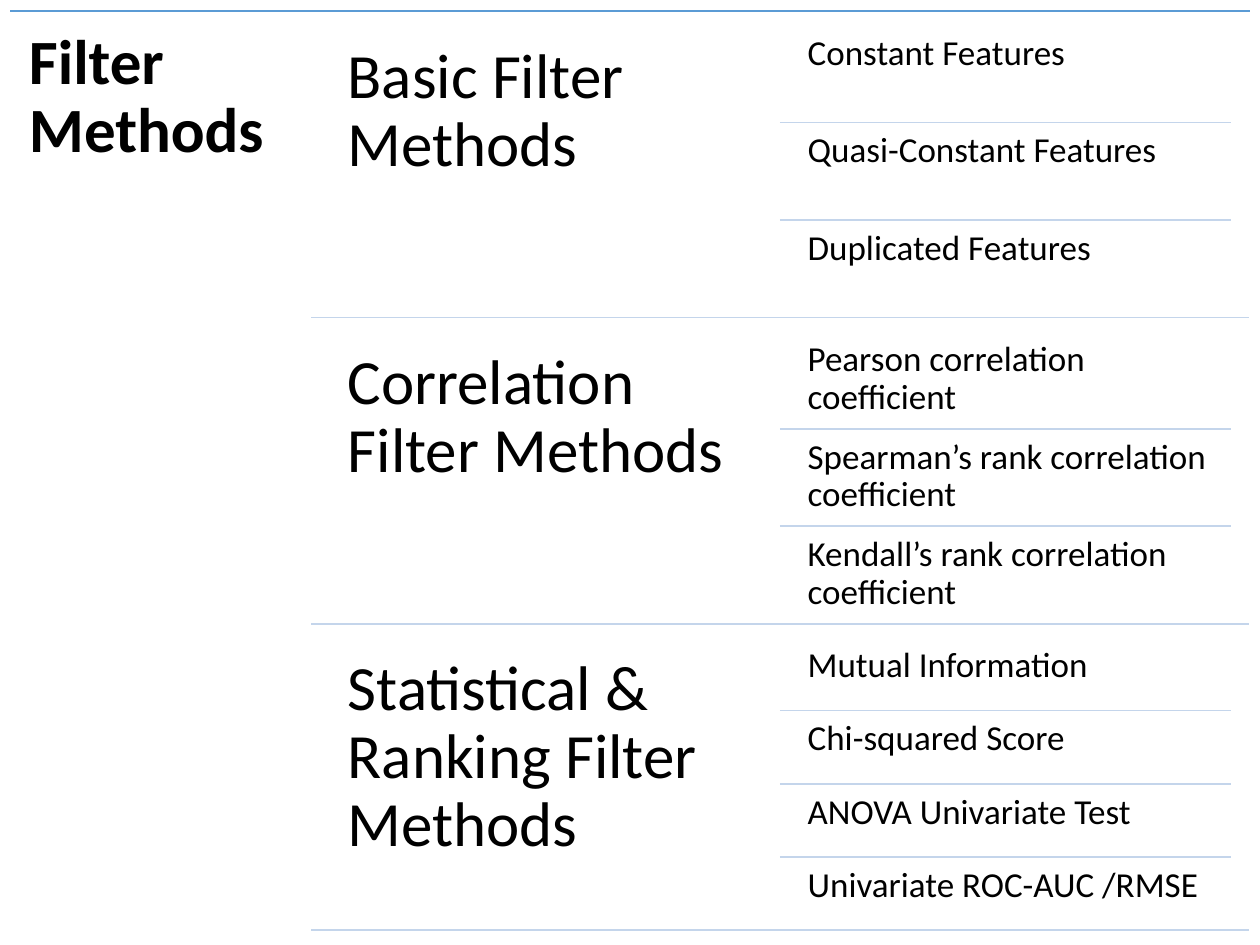
from lxml import etree
from pptx import Presentation
from pptx.dml.color import RGBColor
from pptx.enum.shapes import MSO_CONNECTOR
from pptx.enum.text import MSO_ANCHOR
from pptx.oxml.ns import qn
from pptx.util import Inches, Pt

STRAIGHT = MSO_CONNECTOR.STRAIGHT
TOP_ANCHOR = MSO_ANCHOR.TOP
BLACK = RGBColor(0x00, 0x00, 0x00)
BLUE = RGBColor(0x5B, 0x9B, 0xD5)
PALE_BLUE = RGBColor(0xC4, 0xD5, 0xEB)

TITLE = "Filter Methods"
FAMILIES = [
    ("Basic Filter Methods",
     ["Constant Features", "Quasi-Constant Features", "Duplicated Features"]),
    ("Correlation Filter Methods",
     ["Pearson correlation coefficient",
      "Spearman’s rank correlation coefficient",
      "Kendall’s rank correlation coefficient"]),
    ("Statistical & Ranking Filter Methods",
     ["Mutual Information", "Chi-squared Score",
      "ANOVA Univariate Test", "Univariate ROC-AUC /RMSE"]),
]

TITLE_FORMAT = {"size": Pt(36), "bold": True}
FAMILY_FORMAT = {"size": Pt(36), "bold": False}
METHOD_FORMAT = {"size": Pt(20), "bold": False}

# Lengths in inches
LEFT, TOP, RIGHT = 0.08, 0.09, 9.92
FAMILY_LEFT, METHOD_LEFT, COLUMN_WIDTH = 2.61, 6.33, 3.58
FAMILY_TOP, FAMILY_HEIGHT, FAMILY_GAP = 0.2, 2.32, 0.11
RULE_OVERHANG = 0.14
LARGE_INSET, SMALL_INSET = 0.15, 0.08


def add_text(shapes, text, left, top, width, height, inset, font_format):
    box = shapes.add_textbox(*map(Inches, (left, top, width, height)))
    frame = box.text_frame
    frame.word_wrap = True
    frame.vertical_anchor = TOP_ANCHOR
    for side in ("left", "top", "right", "bottom"):
        setattr(frame, f"margin_{side}", Inches(inset))
    para = frame.paragraphs[0]
    para.line_spacing = 0.9
    span = para.add_run()
    span.text = text
    span.font.name = "Calibri"
    span.font.color.rgb = BLACK
    for name, value in font_format.items():
        setattr(span.font, name, value)


def add_rule(shapes, left, right, y, color):
    """Draw a thin horizontal line."""
    rule = shapes.add_connector(
        STRAIGHT, Inches(left), Inches(y), Inches(right), Inches(y))
    rule.line.color.rgb = color
    rule.line.width = Pt(1)
    etree.SubElement(rule.line._get_or_add_ln().getparent(), qn("a:effectLst"))


def add_family(shapes, family, methods, top):
    bottom = top + FAMILY_HEIGHT
    add_text(shapes, family, FAMILY_LEFT, top, COLUMN_WIDTH, FAMILY_HEIGHT,
             LARGE_INSET, FAMILY_FORMAT)
    method_height = FAMILY_HEIGHT / len(methods)
    rule_left = METHOD_LEFT - RULE_OVERHANG
    for index, method in enumerate(methods):
        method_top = top + index * method_height
        if index:
            add_rule(shapes, rule_left, rule_left + COLUMN_WIDTH, method_top,
                     PALE_BLUE)
        add_text(shapes, method, METHOD_LEFT, method_top, COLUMN_WIDTH,
                 method_height, SMALL_INSET, METHOD_FORMAT)
    add_rule(shapes, FAMILY_LEFT - RULE_OVERHANG, METHOD_LEFT + COLUMN_WIDTH,
             bottom, PALE_BLUE)


def main():
    deck = Presentation()
    deck.slide_width, deck.slide_height = Inches(10), Inches(7.5)
    page = deck.slides.add_slide(deck.slide_layouts[6])
    shapes = page.shapes.add_group_shape().shapes

    add_rule(shapes, LEFT, RIGHT, TOP, BLUE)
    add_text(shapes, TITLE, LEFT, TOP, 2.38, 7.41, LARGE_INSET, TITLE_FORMAT)
    for index, (family, methods) in enumerate(FAMILIES):
        top = FAMILY_TOP + index * (FAMILY_HEIGHT + FAMILY_GAP)
        add_family(shapes, family, methods, top)
    deck.save("out.pptx")


if __name__ == "__main__":
    main()
